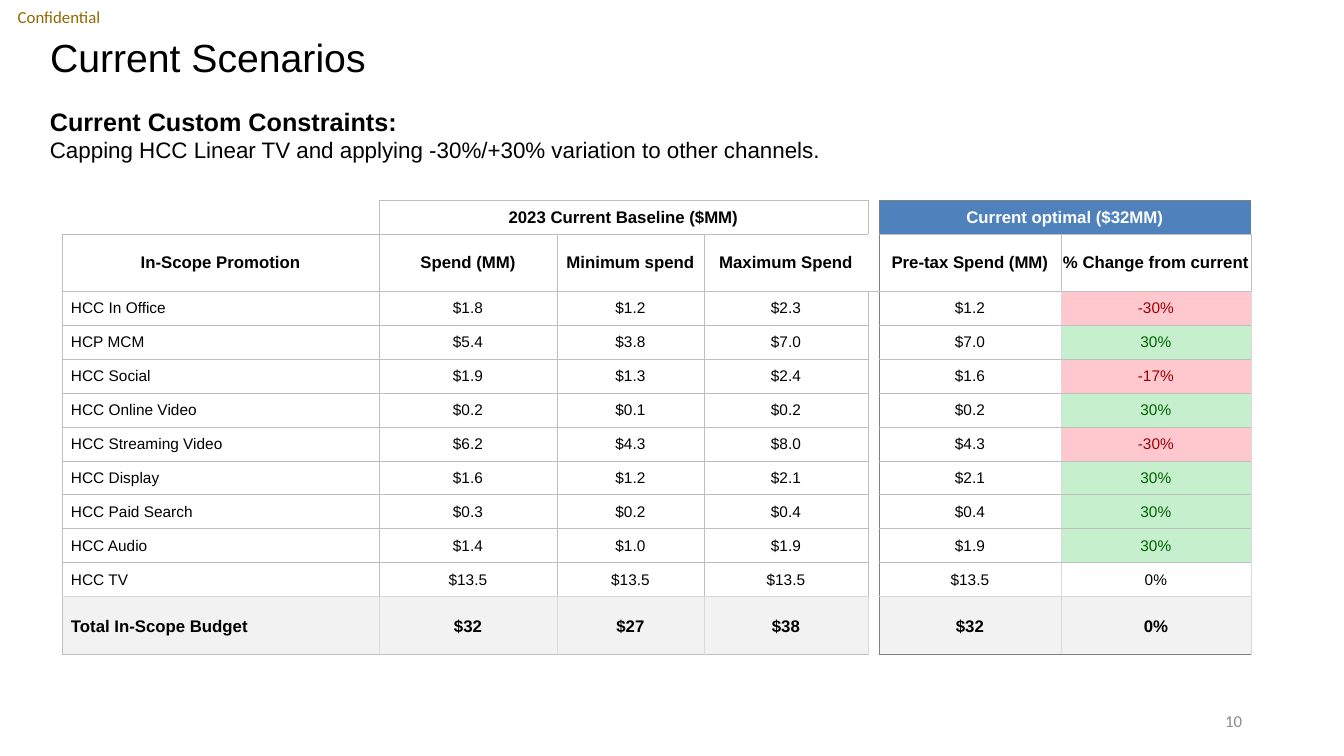
from dataclasses import dataclass

from lxml.etree import SubElement
from pptx import Presentation
from pptx.dml.color import RGBColor
from pptx.enum.text import MSO_ANCHOR, MSO_AUTO_SIZE, PP_ALIGN
from pptx.oxml.ns import qn
from pptx.util import Emu, Pt

# Content
TITLE = "Current Scenarios"
MARKING = "Confidential"
PAGE_NUMBER = "10"
CONSTRAINTS_HEADING = "Current Custom Constraints:"
CONSTRAINTS = "Capping HCC Linear TV and applying -30%/+30% variation to other channels."
# (text, first column, last column)
GROUPS = [("2023 Current Baseline ($MM)", 1, 3), ("Current optimal ($32MM)", 5, 6)]
HEADER = ("In-Scope Promotion", "Spend (MM)", "Minimum spend", "Maximum Spend",
          "Pre-tax Spend (MM)", "% Change from current")
CHANNELS = [
    ("HCC In Office", "$1.8", "$1.2", "$2.3", "$1.2", "-30%"),
    ("HCP MCM", "$5.4", "$3.8", "$7.0", "$7.0", "30%"),
    ("HCC Social", "$1.9", "$1.3", "$2.4", "$1.6", "-17%"),
    ("HCC Online Video", "$0.2", "$0.1", "$0.2", "$0.2", "30%"),
    ("HCC Streaming Video", "$6.2", "$4.3", "$8.0", "$4.3", "-30%"),
    ("HCC Display", "$1.6", "$1.2", "$2.1", "$2.1", "30%"),
    ("HCC Paid Search", "$0.3", "$0.2", "$0.4", "$0.4", "30%"),
    ("HCC Audio", "$1.4", "$1.0", "$1.9", "$1.9", "30%"),
    ("HCC TV", "$13.5", "$13.5", "$13.5", "$13.5", "0%"),
]
TOTAL = ("Total In-Scope Budget", "$32", "$27", "$38", "$32", "0%")


@dataclass(frozen=True)
class Theme:
    font: str = "Arial"
    small_font: str = "Calibri"
    ink: str = "000000"
    white: str = "FFFFFF"
    marking: str = "8E6A00"
    page_number: str = "8C8C8C"
    accent: str = "4F81BD"
    total_fill: str = "F2F2F2"
    fall: tuple = ("FFC7CE", "9C0006")
    rise: tuple = ("C6EFCE", "006100")
    grid: str = "BFBFBF"
    pale_grid: str = "D9D9D9"
    dark_grid: str = "808080"
    title_size: int = 28
    heading_size: int = 18
    body_size: int = 16
    label_size: int = 12
    cell_size: int = 11
    rule_width: float = 0.5


THEME = Theme()

# Layout in px
PX = 914400 / 100.8
PAGE_SIZE = (1344, 756)
COLUMNS = (317, 178, 147, 164, 11, 182, 190)
ROWS = (34, 57) + (34,) * len(CHANNELS) + (58,)
TABLE_LEFT, TABLE_TOP = 62, 200
GAP = 4
LAST = len(ROWS) - 1


def px(length):
    return Emu(round(length * PX))


def write(para, text, size=THEME.cell_size, color=THEME.ink, bold=False,
          font=THEME.font, align=PP_ALIGN.LEFT):
    para.alignment = align
    span = para.add_run()
    span.text = text
    span.font.name = font
    span.font.size = Pt(size)
    span.font.bold = bold
    span.font.color.rgb = RGBColor.from_string(color)


def add_box(page, left, top, width, height, anchor=MSO_ANCHOR.MIDDLE):
    box = page.shapes.add_textbox(px(left), px(top), px(width), px(height))
    frame = box.text_frame
    frame.word_wrap = True
    frame.vertical_anchor = anchor
    return frame


def vertical_rule(row, line):
    """Colour of the rule left of column `line`, or None."""
    if line == GAP + 1:
        return THEME.dark_grid
    if row == 0:
        return THEME.grid if line in (1, GAP) else None
    if row == 1:
        return None if line == GAP else THEME.grid
    if row == LAST:
        return THEME.pale_grid if line else THEME.grid
    return THEME.pale_grid if line > GAP else THEME.grid


def horizontal_rule(line, column):
    """Colour of the rule above row `line`, or None."""
    if column == GAP:
        return THEME.grid if line == 2 else None
    if line == 0 and column == 0:
        return None
    if line in (0, LAST + 1):
        return THEME.dark_grid if column > GAP else THEME.grid
    return THEME.pale_grid if line == LAST else THEME.grid


def set_borders(cell, row, column):
    rules = {
        "a:lnL": vertical_rule(row, column),
        "a:lnR": vertical_rule(row, column + 1),
        "a:lnT": horizontal_rule(row, column),
        "a:lnB": horizontal_rule(row + 1, column),
    }
    properties = cell._tc.get_or_add_tcPr()
    for tag, color in rules.items():
        rule = SubElement(properties, qn(tag), w=str(Pt(THEME.rule_width)))
        if color:
            fill = SubElement(rule, qn("a:solidFill"))
            SubElement(fill, qn("a:srgbClr"), val=color)
        else:
            SubElement(rule, qn("a:noFill"))


def cell_colors(row, column, text):
    """Fill (or None) and text colour of a cell."""
    if row == 0 and column > GAP:
        return THEME.accent, THEME.white
    if row == LAST and column != GAP:
        return THEME.total_fill, THEME.ink
    if row > 1 and column == len(COLUMNS) - 1 and text != "0%":
        return THEME.fall if text.startswith("-") else THEME.rise
    return None, THEME.ink


def add_scenario_table(page):
    grid = [[""] * len(COLUMNS)]
    for text, first, _ in GROUPS:
        grid[0][first] = text
    grid += [[*record[:GAP], "", *record[GAP:]] for record in (HEADER, *CHANNELS, TOTAL)]

    table = page.shapes.add_table(
        len(ROWS), len(COLUMNS), px(TABLE_LEFT), px(TABLE_TOP),
        px(sum(COLUMNS)), px(sum(ROWS))).table
    table.first_row = table.horz_banding = False
    for column, width in zip(table.columns, COLUMNS):
        column.width = px(width)
    for row, height in zip(table.rows, ROWS):
        row.height = px(height)

    for r, record in enumerate(grid):
        for c, text in enumerate(record):
            cell = table.cell(r, c)
            is_name = c == 0 and r > 1
            is_strong = r in (0, 1, LAST)
            cell.vertical_anchor = MSO_ANCHOR.MIDDLE
            cell.margin_left = px(9 if is_name else 1)
            cell.margin_right = cell.margin_top = px(1)
            cell.margin_bottom = 0
            set_borders(cell, r, c)
            fill, color = cell_colors(r, c, text)
            if fill:
                cell.fill.solid()
                cell.fill.fore_color.rgb = RGBColor.from_string(fill)
            else:
                cell.fill.background()
            if text:
                write(cell.text_frame.paragraphs[0], text, color=color, bold=is_strong,
                      size=THEME.label_size if is_strong else THEME.cell_size,
                      align=PP_ALIGN.LEFT if is_name else PP_ALIGN.CENTER)
    for _, first, last in GROUPS:
        table.cell(0, first).merge(table.cell(0, last))


def main():
    deck = Presentation()
    deck.slide_width, deck.slide_height = map(px, PAGE_SIZE)
    page = deck.slides.add_slide(deck.slide_layouts[5])

    # Title
    title = page.shapes.title
    title.left, title.top, title.width, title.height = map(px, (40, 40, 1210, 40))
    title.text_frame.auto_size = MSO_AUTO_SIZE.NONE
    title.text_frame.vertical_anchor = MSO_ANCHOR.MIDDLE
    heading = title.text_frame.paragraphs[0]
    heading.line_spacing = 0.9
    write(heading, TITLE, size=THEME.title_size)

    # Marking and page number
    marking = add_box(page, 0, 0, 118, 33)
    marking.margin_left = marking.margin_right = 0
    write(marking.paragraphs[0], MARKING, size=THEME.label_size, color=THEME.marking,
          font=THEME.small_font, align=PP_ALIGN.CENTER)
    number = add_box(page, 950, 701, 302, 40)
    write(number.paragraphs[0], PAGE_NUMBER, size=THEME.label_size,
          color=THEME.page_number, font=THEME.small_font, align=PP_ALIGN.RIGHT)

    # Constraints
    constraints = add_box(page, 40, 101, 1210, 68, anchor=MSO_ANCHOR.TOP)
    write(constraints.paragraphs[0], CONSTRAINTS_HEADING, size=THEME.heading_size, bold=True)
    write(constraints.add_paragraph(), CONSTRAINTS, size=THEME.body_size)

    # Table
    add_scenario_table(page)
    deck.save("out.pptx")


if __name__ == "__main__":
    main()
